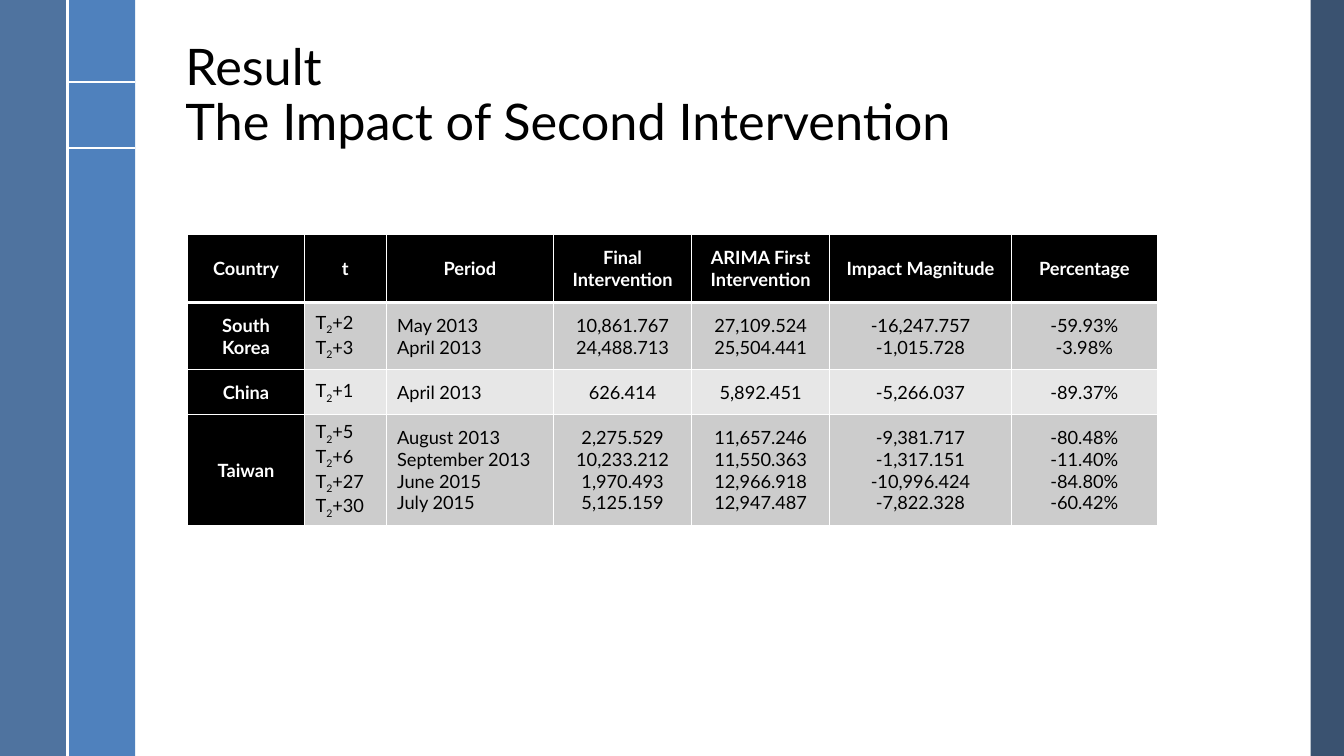
from dataclasses import dataclass

import lxml.etree
import pptx
import pptx.dml.color
import pptx.enum.shapes
import pptx.enum.text
import pptx.oxml.ns
import pptx.util

Inches = pptx.util.Inches
Pt = pptx.util.Pt
RGBColor = pptx.dml.color.RGBColor
Align = pptx.enum.text.PP_ALIGN
Anchor = pptx.enum.text.MSO_ANCHOR
qn = pptx.oxml.ns.qn

BLACK = RGBColor(0x00, 0x00, 0x00)
WHITE = RGBColor(0xFF, 0xFF, 0xFF)
NAVY = RGBColor(0x25, 0x40, 0x61)
BLUE = RGBColor(0x4F, 0x81, 0xBD)
STEEL = RGBColor(0x37, 0x60, 0x92)
DARK_BAND = RGBColor(0xCC, 0xCC, 0xCC)
LIGHT_BAND = RGBColor(0xE7, 0xE7, 0xE7)
FONT = "Lato"
PAGE_WIDTH, PAGE_HEIGHT = 13.33, 7.5


@dataclass
class Stripe:
    left: float
    width: float
    color: RGBColor
    opacity: int = 100


@dataclass
class Rule:
    start: tuple[float, float]
    end: tuple[float, float]


@dataclass
class CountryResult:
    country: str
    lags: list[int]
    columns: list[list[str]]


STRIPES = [
    Stripe(13, 0.33, NAVY, 90),
    Stripe(0.67, 0.67, BLUE),
    Stripe(0, 0.67, STEEL, 88),
]
RULES = [
    Rule((0.67, 0.81), (1.34, 0.81)),
    Rule((0.67, 1.47), (1.34, 1.47)),
    Rule((0.67, 0), (0.67, PAGE_HEIGHT)),
]
COLUMN_WIDTHS = [1.16, 0.81, 1.66, 1.37, 1.37, 1.8, 1.45]
ROW_HEIGHTS = [0.67, 0.67, 0.44, 1.11]
HEADINGS = ["Country", "t", "Period", "Final Intervention",
            "ARIMA First Intervention", "Impact Magnitude", "Percentage"]
RESULTS = [
    CountryResult("South Korea", [2, 3], [
        ["May 2013", "April 2013"],
        ["10,861.767", "24,488.713"],
        ["27,109.524", "25,504.441"],
        ["-16,247.757", "-1,015.728"],
        ["-59.93%", "-3.98%"],
    ]),
    CountryResult("China", [1], [
        ["April 2013"], ["626.414"], ["5,892.451"], ["-5,266.037"], ["-89.37%"],
    ]),
    CountryResult("Taiwan", [5, 6, 27, 30], [
        ["August 2013", "September 2013", "June 2015", "July 2015"],
        ["2,275.529", "10,233.212", "1,970.493", "5,125.159"],
        ["11,657.246", "11,550.363", "12,966.918", "12,947.487"],
        ["-9,381.717", "-1,317.151", "-10,996.424", "-7,822.328"],
        ["-80.48%", "-11.40%", "-84.80%", "-60.42%"],
    ]),
]


def draw_stripe(page: pptx.slide.Slide, stripe: Stripe) -> None:
    shape = page.shapes.add_shape(
        pptx.enum.shapes.MSO_SHAPE.RECTANGLE, Inches(stripe.left), 0,
        Inches(stripe.width), Inches(PAGE_HEIGHT))
    shape.shadow.inherit = False
    shape.line.fill.background()
    shape.fill.solid()
    shape.fill.fore_color.rgb = stripe.color
    if stripe.opacity < 100:
        color = shape._element.spPr.find(qn("a:solidFill"))[0]
        lxml.etree.SubElement(color, qn("a:alpha"), val=str(stripe.opacity * 1000))


def draw_rule(page: pptx.slide.Slide, rule: Rule) -> None:
    line = page.shapes.add_connector(
        pptx.enum.shapes.MSO_CONNECTOR.STRAIGHT,
        *map(Inches, rule.start + rule.end))
    line.line.color.rgb = WHITE
    line.line.width = Pt(1.5)
    lxml.etree.SubElement(line._element.spPr, qn("a:effectLst"))


def draw_title(page: pptx.slide.Slide) -> None:
    box = page.shapes.add_textbox(Inches(1.74), Inches(0.19), Inches(10.7), Inches(1.36))
    frame = box.text_frame
    frame.word_wrap = True
    frame.vertical_anchor = Anchor.BOTTOM
    para = frame.paragraphs[0]
    para.text = "Result\vThe Impact of Second Intervention"
    para.line_spacing = 0.9
    for span in para.runs:
        span.font.name = FONT
        span.font.size = Pt(36)
        span.font.color.rgb = BLACK


def set_borders(cell: pptx.table._Cell, top: float, bottom: float) -> None:
    properties = cell._tc.get_or_add_tcPr()
    for side, width in zip("LRTB", (1, 1, top, bottom)):
        line = lxml.etree.SubElement(properties, qn(f"a:ln{side}"), w=str(Pt(width)))
        fill = lxml.etree.SubElement(line, qn("a:solidFill"))
        lxml.etree.SubElement(fill, qn("a:srgbClr"), val=str(WHITE))


def write_lags(cell: pptx.table._Cell, lags: list[int]) -> None:
    """Write one T₂+n line per lag, with the 2 as a subscript."""
    cell.text = "\n".join("T" for _ in lags)
    for para, lag in zip(cell.text_frame.paragraphs, lags):
        subscript = para.add_run()
        subscript.text = "2"
        subscript._r.get_or_add_rPr().set("baseline", "-25000")
        para.add_run().text = f"+{lag}"


def format_cell(cell: pptx.table._Cell, row: int, column: int) -> None:
    is_heading = row == 0 or column == 0
    set_borders(cell, top=3 if row == 1 else 1, bottom=3 if row == 0 else 1)
    cell.fill.solid()
    band = DARK_BAND if row % 2 else LIGHT_BAND
    cell.fill.fore_color.rgb = BLACK if is_heading else band
    cell.vertical_anchor = Anchor.MIDDLE
    cell.margin_left = cell.margin_right = Inches(0.11)
    cell.margin_top = cell.margin_bottom = 0
    for para in cell.text_frame.paragraphs:
        para.alignment = Align.LEFT if row and column in (1, 2) else Align.CENTER
        for span in para.runs:
            span.font.name = FONT
            span.font.size = Pt(13)
            span.font.bold = is_heading
            span.font.color.rgb = WHITE if is_heading else BLACK


def draw_results(page: pptx.slide.Slide) -> None:
    table = page.shapes.add_table(
        len(ROW_HEIGHTS), len(COLUMN_WIDTHS), Inches(1.86), Inches(2.33),
        Inches(sum(COLUMN_WIDTHS)), Inches(sum(ROW_HEIGHTS))).table
    for table_column, width in zip(table.columns, COLUMN_WIDTHS):
        table_column.width = Inches(width)
    for table_row, height in zip(table.rows, ROW_HEIGHTS):
        table_row.height = Inches(height)

    for column, heading in enumerate(HEADINGS):
        table.cell(0, column).text = heading
    for row, result in enumerate(RESULTS, start=1):
        table.cell(row, 0).text = result.country
        write_lags(table.cell(row, 1), result.lags)
        for column, values in enumerate(result.columns, start=2):
            table.cell(row, column).text = "\n".join(values)

    for row in range(len(ROW_HEIGHTS)):
        for column in range(len(COLUMN_WIDTHS)):
            format_cell(table.cell(row, column), row, column)


def main() -> None:
    deck = pptx.Presentation()
    deck.slide_width = Inches(PAGE_WIDTH)
    deck.slide_height = Inches(PAGE_HEIGHT)
    page = deck.slides.add_slide(deck.slide_layouts[6])
    for stripe in STRIPES:
        draw_stripe(page, stripe)
    for rule in RULES:
        draw_rule(page, rule)
    draw_title(page)
    draw_results(page)
    deck.save("out.pptx")


if __name__ == "__main__":
    main()
